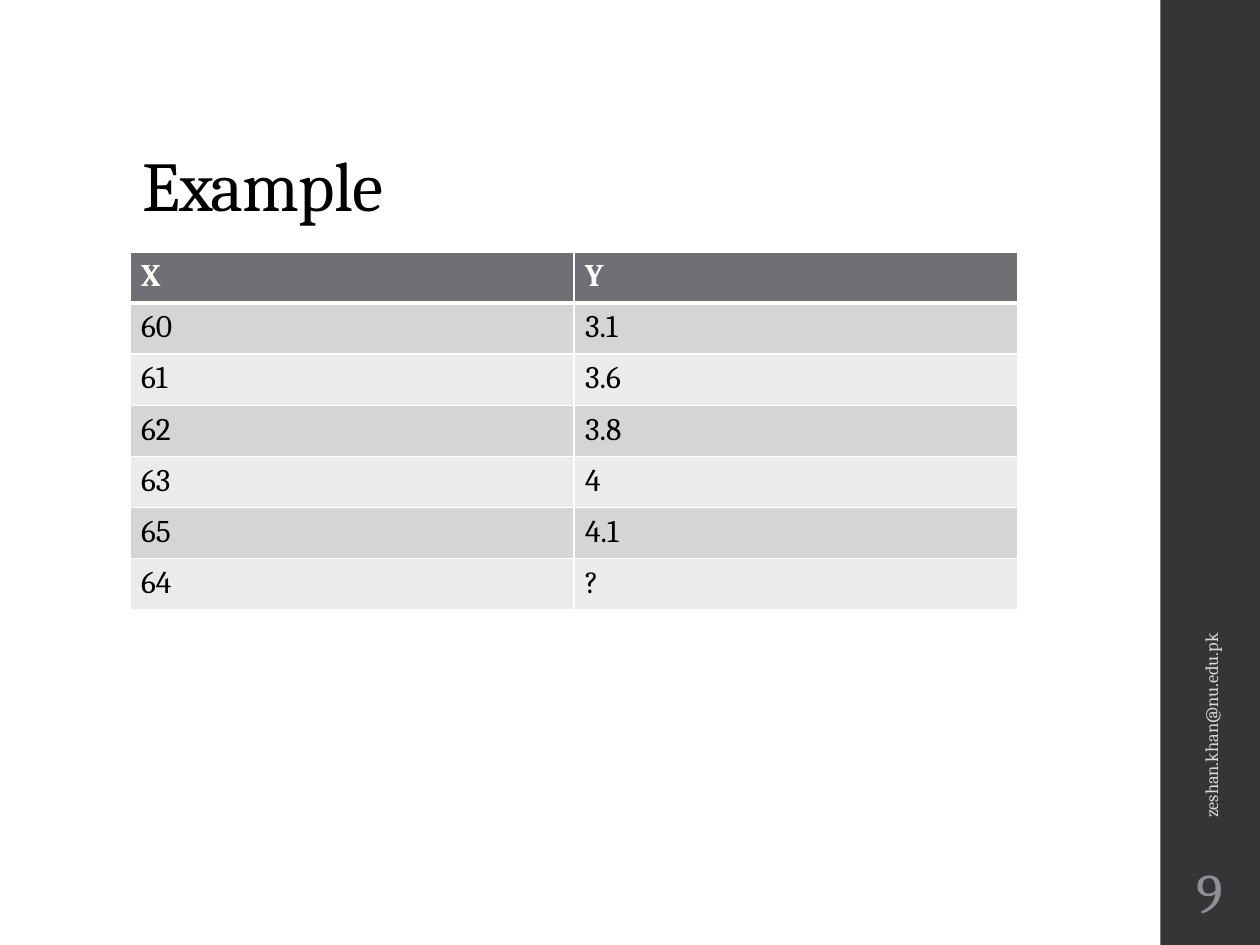
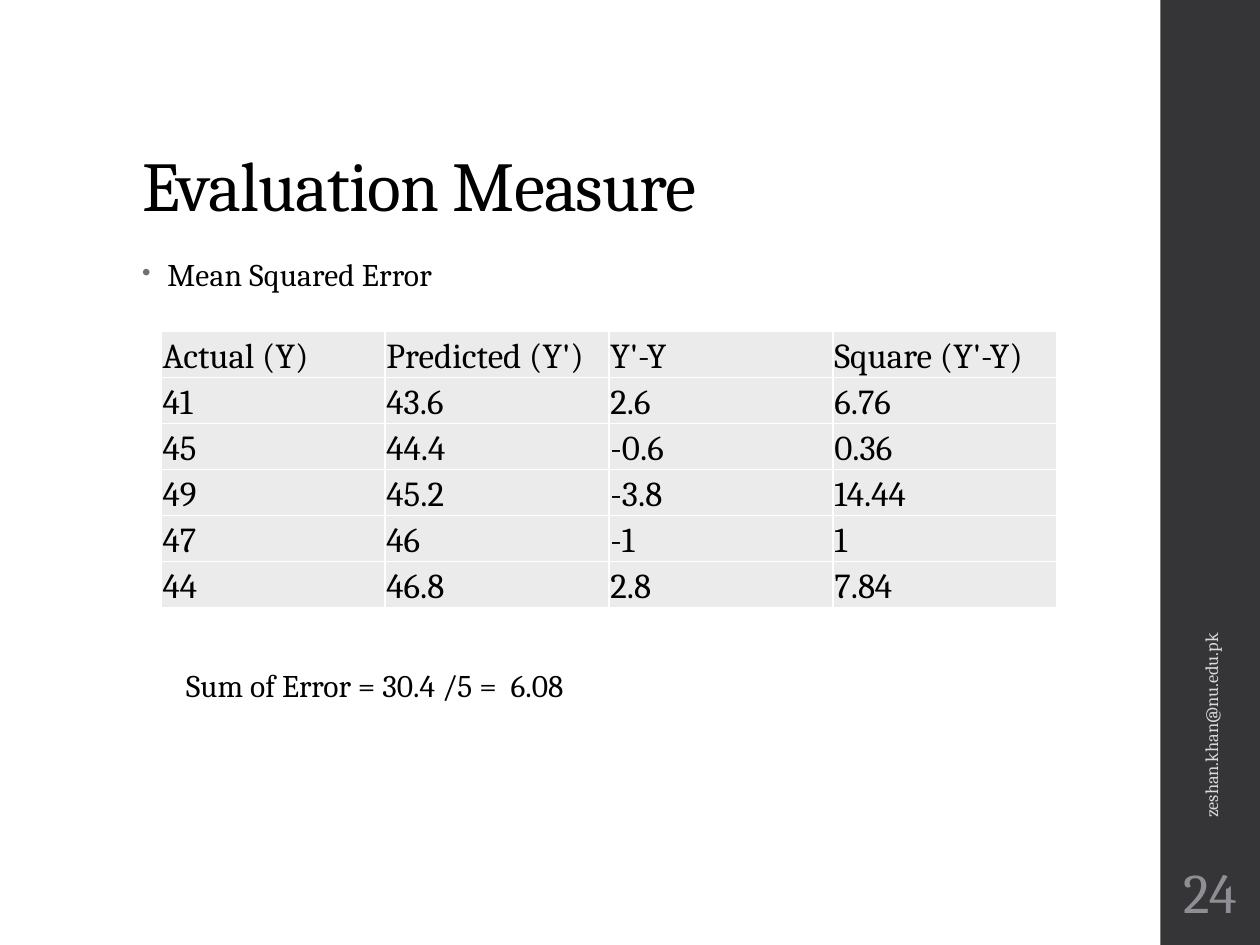
from dataclasses import dataclass

from lxml.etree import SubElement
from pptx import Presentation
from pptx.dml.color import RGBColor
from pptx.enum.shapes import MSO_SHAPE as Preset
from pptx.enum.text import MSO_ANCHOR as Anchor, PP_ALIGN as Align
from pptx.oxml.ns import qn
from pptx.util import Inches, Pt

FONT = "Cambria"
BLACK, WHITE = "000000", "FFFFFF"
BAND, HEADER, BULLET = "353537", "6F6F74", "6F6F74"
DARK_ROW, LIGHT_ROW = "D5D5D6", "EBEBEB"
EMAIL_INK, NUMBER_INK = "D9D9DB", "8E8E94"
EMAIL = "zeshan.khan@nu.edu.pk"


@dataclass
class Box:
    """A region in inches."""
    left: float
    top: float
    width: float
    height: float

    def inner(self, x, y, width, height):
        """A region given in percent of this one."""
        return Box(self.left + self.width * x / 100,
                   self.top + self.height * y / 100,
                   self.width * width / 100, self.height * height / 100)

    def emu(self):
        return [Inches(n) for n in (self.left, self.top, self.width, self.height)]


PAGE = Box(0, 0, 10, 7.5)
SIDEBAR = PAGE.inner(92.1, 0, 7.9, 100)
TITLE = PAGE.inner(10.3, 5.33, 79.5, 19.33)
BODY = PAGE.inner(10.3, 26.67, 70.5, 63.47)


def color(hex_string):
    return RGBColor.from_string(hex_string)


def paint(target, hex_string):
    target.fill.solid()
    target.fill.fore_color.rgb = color(hex_string)


def write(paragraph, text, size, ink=BLACK, bold=False, spacing=None):
    """Add one run; spacing is in hundredths of a point."""
    run = paragraph.add_run()
    run.text = text
    run.font.name, run.font.size, run.font.bold = FONT, Pt(size), bold
    run.font.color.rgb = color(ink)
    if spacing:
        run._r.get_or_add_rPr().set("spc", str(spacing))


def set_insets(holder, left, top, right, bottom):
    holder.margin_left, holder.margin_top = Inches(left), Inches(top)
    holder.margin_right, holder.margin_bottom = Inches(right), Inches(bottom)


def add_text(slide, box, text, size, ink=BLACK, anchor=Anchor.TOP, spacing=None):
    holder = slide.shapes.add_textbox(*box.emu())
    frame = holder.text_frame
    frame.word_wrap, frame.vertical_anchor = True, anchor
    write(frame.paragraphs[0], text, size, ink, spacing=spacing)
    return holder


def add_title(slide, box, text):
    title = add_text(slide, box, text, 40, anchor=Anchor.BOTTOM, spacing=-50)
    title.text_frame.paragraphs[0].line_spacing = 0.9


def add_sidebar(slide, box, number):
    band = slide.shapes.add_shape(Preset.RECTANGLE, *box.emu())
    band.shadow.inherit = False
    paint(band, BAND)
    band.line.fill.background()

    email = add_text(slide, box.inner(-197.47, 59.73, 496.2, 4), EMAIL, 10.5,
                     EMAIL_INK, Anchor.MIDDLE)
    email.rotation = 270

    page_number = add_text(slide, box.inner(2.53, 90, 94.94, 8.67), str(number), 32,
                           NUMBER_INK, Anchor.MIDDLE)
    set_insets(page_number.text_frame, 0.03, 0.05, 0.03, 0.05)
    page_number.text_frame.paragraphs[0].alignment = Align.CENTER


def add_bullet(slide, box, text):
    bullet = add_text(slide, box, text, 18, spacing=10)
    paragraph = bullet.text_frame.paragraphs[0]
    properties = paragraph._p.get_or_add_pPr()
    properties.set("marL", str(Inches(0.2)))
    properties.set("indent", str(Inches(-0.2)))
    tint = SubElement(properties, qn("a:buClr"))
    SubElement(tint, qn("a:srgbClr"), val=BULLET)
    SubElement(properties, qn("a:buSzPct"), val="80000")
    SubElement(properties, qn("a:buChar"), char="•")
    paragraph.line_spacing, paragraph.space_after = 0.95, Pt(2)


def add_borders(cell, top=1, bottom=1):
    """White cell borders, widths in points."""
    properties = cell._tc.get_or_add_tcPr()
    for side, points in (("L", 1), ("R", 1), ("T", top), ("B", bottom)):
        line = SubElement(properties, qn("a:ln" + side), w=str(Pt(points)))
        fill = SubElement(line, qn("a:solidFill"))
        SubElement(fill, qn("a:srgbClr"), val=WHITE)


def add_grid(slide, box, rows, size, insets, anchor=Anchor.TOP, styled=False):
    """A table of equal cells; styled gives it a dark header and banded rows."""
    table = slide.shapes.add_table(len(rows), len(rows[0]), *box.emu()).table
    for column in table.columns:
        column.width = Inches(box.width / len(rows[0]))
    for r, values in enumerate(rows):
        table.rows[r].height = Inches(box.height / len(rows))
        is_header = styled and r == 0
        fill = HEADER if is_header else DARK_ROW if styled and r % 2 else LIGHT_ROW
        for c, value in enumerate(values):
            cell = table.cell(r, c)
            add_borders(cell, top=3 if styled and r == 1 else 1,
                        bottom=3 if is_header else 1)
            paint(cell, fill)
            set_insets(cell, *insets)
            cell.vertical_anchor = anchor
            write(cell.text_frame.paragraphs[0], value, size,
                  WHITE if is_header else BLACK, is_header)


def add_example(slide, box):
    samples = [("X", "Y"), ("60", "3.1"), ("61", "3.6"), ("62", "3.8"),
               ("63", "4"), ("65", "4.1"), ("64", "?")]
    add_grid(slide, box.inner(0, 0, 100, 59.66), samples, 18,
             (0.09, 0.05, 0.09, 0.05), styled=True)


def add_evaluation(slide, box):
    errors = [("Actual (Y)", "Predicted (Y')", "Y'-Y", "Square (Y'-Y)"),
              ("41", "43.6", "2.6", "6.76"),
              ("45", "44.4", "-0.6", "0.36"),
              ("49", "45.2", "-3.8", "14.44"),
              ("47", "46", "-1", "1"),
              ("44", "46.8", "2.8", "7.84")]
    add_bullet(slide, box, "Mean Squared Error")
    add_grid(slide, box.inner(3.55, 13.24, 100.85, 46.01), errors, 20,
             (0.01, 0.01, 0.01, 0), Anchor.BOTTOM)
    add_text(slide, box.inner(4.96, 68.07, 52.48, 8.4),
             "Sum of Error = 30.4 /5 =  6.08", 18)


def main():
    deck = Presentation()
    deck.slide_width, deck.slide_height = Inches(PAGE.width), Inches(PAGE.height)
    for title, number, add_content in (("Example", 9, add_example),
                                       ("Evaluation Measure", 24, add_evaluation)):
        slide = deck.slides.add_slide(deck.slide_layouts[6])
        add_sidebar(slide, SIDEBAR, number)
        add_title(slide, TITLE, title)
        add_content(slide, BODY)
    deck.save("out.pptx")


if __name__ == "__main__":
    main()
